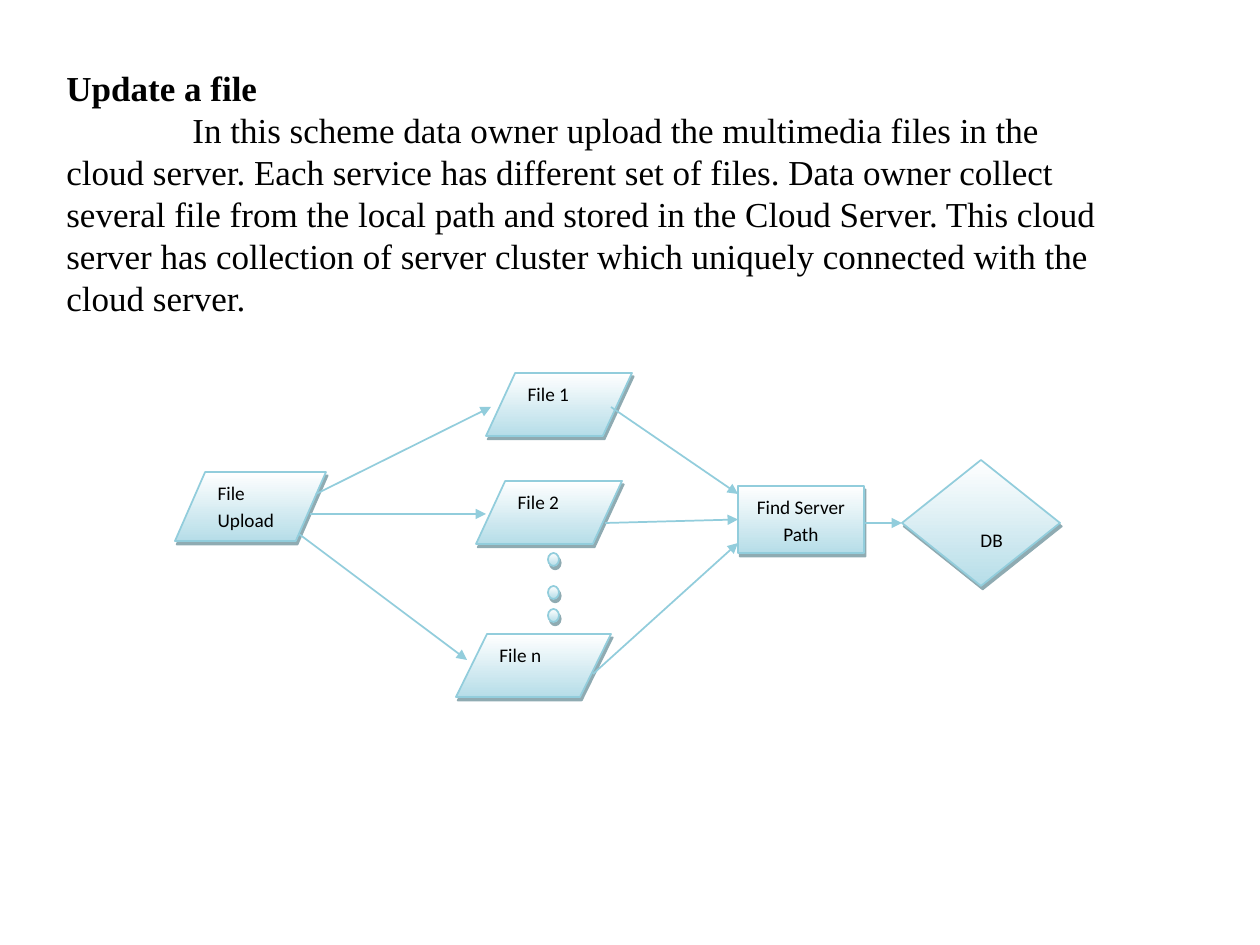
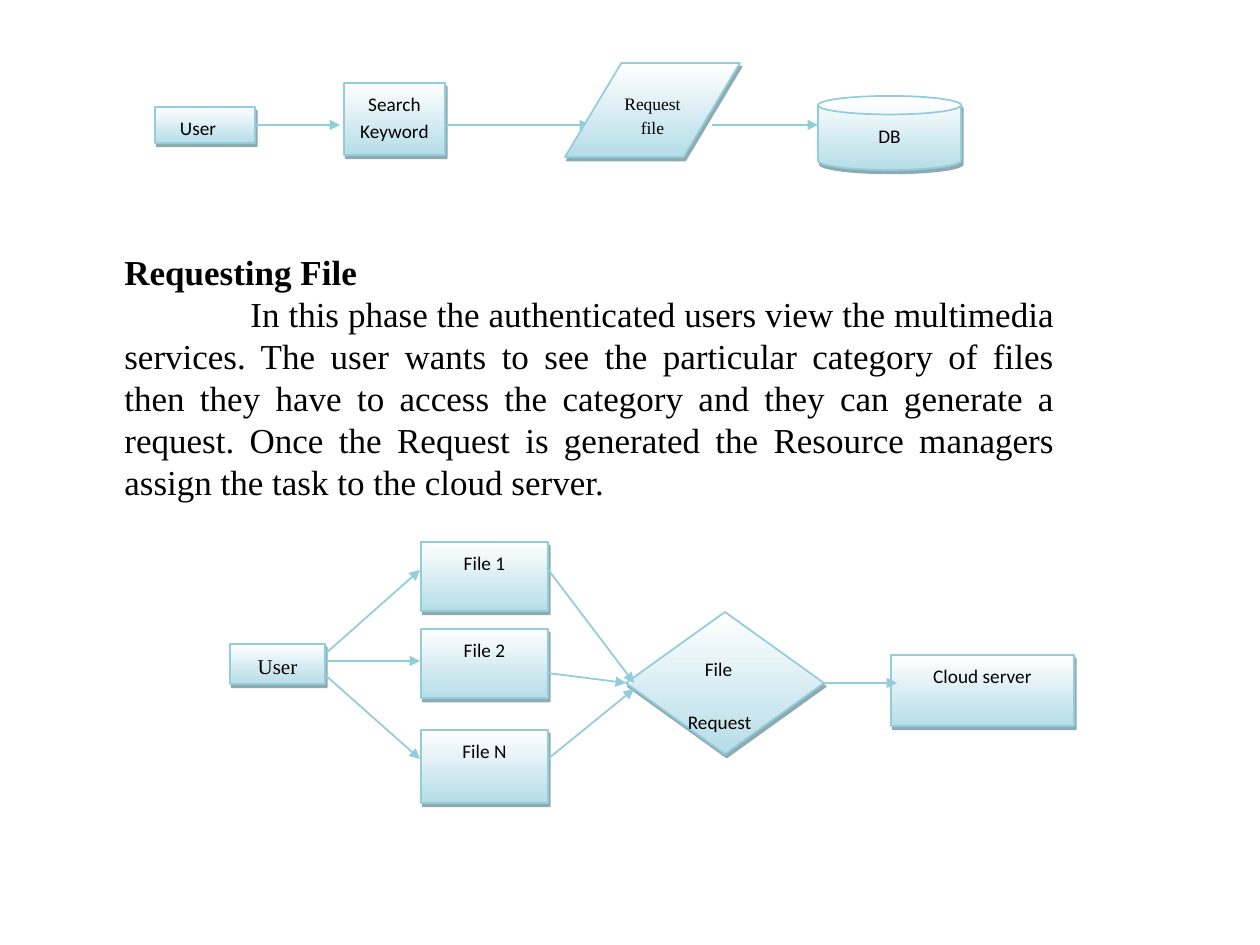
from dataclasses import dataclass
from typing import Any

from lxml.etree import SubElement
from pptx import Presentation
from pptx.dml.color import RGBColor
from pptx.enum.shapes import MSO_CONNECTOR, MSO_SHAPE
from pptx.enum.text import MSO_ANCHOR, PP_ALIGN
from pptx.oxml.ns import qn
from pptx.util import Emu, Pt

PX = 914400 / 126
COLORS = {
    "text": "000000",
    "line": "92CDDC",
    "fill_top": "FFFFFF",
    "fill_bottom": "B6DDE8",
    "shadow": "205867",
}
SERIF = "Times New Roman"
SANS = "Calibri"


def px(n):
    return Emu(round(n * PX))


def color(name):
    return RGBColor.from_string(COLORS[name])


def add_run(p, text, size, font, bold=False):
    r = p.add_run()
    r.text = text
    r.font.size = Pt(size)
    r.font.name = font
    r.font.bold = bold
    r.font.color.rgb = color("text")


def style_node(sp):
    fill = sp.fill
    fill.gradient()
    fill.gradient_angle = 270
    for stop, name in zip(fill.gradient_stops, ("fill_top", "fill_bottom")):
        stop.color.rgb = color(name)
    sp.line.color.rgb = color("line")
    sp.line.width = Pt(1)
    sp.shadow.inherit = False
    effects = sp._element.spPr.find(qn("a:effectLst"))
    shadow = SubElement(effects, qn("a:outerShdw"), blurRad="0",
                        dist=str(Pt(2.2)), dir="3780000", algn="ctr",
                        rotWithShape="0")
    clr = SubElement(shadow, qn("a:srgbClr"), val=COLORS["shadow"])
    SubElement(clr, qn("a:alpha"), val="50000")


@dataclass
class Flow:
    slide: Any
    left: int
    top: int

    def node(self, kind, x, y, w, h, lines=(), align=PP_ALIGN.CENTER,
             size=11, font=SANS):
        sp = self.slide.shapes.add_shape(
            kind, px(self.left + x), px(self.top + y), px(w), px(h))
        style_node(sp)
        tf = sp.text_frame
        tf.word_wrap = True
        tf.vertical_anchor = MSO_ANCHOR.TOP
        for i, text in enumerate(lines):
            p = tf.add_paragraph() if i else tf.paragraphs[0]
            p.alignment = align
            p.line_spacing = 1.15
            add_run(p, text, size, font)
        return sp

    def arrow(self, x1, y1, x2, y2, begin=None, end=None):
        c = self.slide.shapes.add_connector(
            MSO_CONNECTOR.STRAIGHT, px(self.left + x1), px(self.top + y1),
            px(self.left + x2), px(self.top + y2))
        if begin is not None:
            c.begin_connect(begin, 3)
        if end is not None:
            c.end_connect(end, 1)
        c.line.color.rgb = color("line")
        c.line.width = Pt(1)
        SubElement(c.line._get_or_add_ln(), qn("a:tailEnd"), type="triangle")
        SubElement(c._element.spPr, qn("a:effectLst"))


def add_topic(slide, box, heading, body, align, anchor):
    tb = slide.shapes.add_textbox(*map(px, box))
    tf = tb.text_frame
    tf.word_wrap = True
    tf.vertical_anchor = anchor
    add_run(tf.paragraphs[0], heading, 20, SERIF, bold=True)
    p = tf.add_paragraph()
    p.alignment = align
    p._p.get_or_add_pPr().set("indent", str(px(126)))
    add_run(p, body, 20, SERIF)


def add_upload_flow(slide, left, top):
    flow = Flow(slide, left, top)
    for x, y, w, name in ((311, 0, 146, "File 1"), (301, 108, 146, "File 2"),
                          (281, 261, 155, "File n")):
        flow.node(MSO_SHAPE.FLOWCHART_DATA, x, y, w, 63, [name], PP_ALIGN.LEFT)
    for y in (180, 213, 236):
        flow.node(MSO_SHAPE.FLOWCHART_CONNECTOR, 373, y, 11, 13)
    server = flow.node(MSO_SHAPE.RECTANGLE, 563, 113, 126, 67,
                       ["Find Server Path"])
    flow.node(MSO_SHAPE.FLOWCHART_DATA, 0, 99, 151, 69, ["File Upload"],
              PP_ALIGN.LEFT)
    db = flow.node(MSO_SHAPE.DIAMOND, 727, 87, 158, 126, ["DB"],
                   PP_ALIGN.LEFT)
    db.text_frame.margin_left = px(39)
    db.text_frame.margin_top = px(33)
    for ends in ((141, 121, 316, 34), (124, 161, 292, 287),
                 (135, 141, 311, 141), (418, 301, 563, 170),
                 (436, 34, 563, 121)):
        flow.arrow(*ends)
    flow.arrow(430, 150, 563, 147, end=server)
    flow.arrow(689, 150, 727, 150, end=db)


def add_search_flow(slide, left, top):
    flow = Flow(slide, left, top)
    user = flow.node(MSO_SHAPE.RECTANGLE, 0, 44, 100, 36, ["User"],
                     PP_ALIGN.LEFT)
    user.text_frame.margin_left = px(25)
    flow.node(MSO_SHAPE.RECTANGLE, 189, 20, 101, 72, ["Search Keyword"])
    flow.node(MSO_SHAPE.CAN, 663, 33, 143, 74, ["DB"])
    flow.arrow(100, 62, 185, 62, begin=user)
    flow.arrow(289, 62, 435, 62)
    flow.arrow(557, 62, 663, 62)
    request = flow.node(MSO_SHAPE.PARALLELOGRAM, 410, 0, 175, 94,
                        ["Request file"], size=10, font=SERIF)
    request.adjustments[0] = 0.6


def add_request_flow(slide, left, top):
    flow = Flow(slide, left, top)
    flow.node(MSO_SHAPE.RECTANGLE, 0, 102, 95, 40, ["User"], size=12,
              font=SERIF)
    for y, h, name in ((0, 69, "File 1"), (87, 69, "File 2"),
                       (188, 73, "File N")):
        flow.node(MSO_SHAPE.RECTANGLE, 191, y, 127, h, [name])
    flow.node(MSO_SHAPE.RECTANGLE, 661, 113, 183, 71, ["Cloud server"])
    request = flow.node(MSO_SHAPE.DIAMOND, 396, 70, 198, 142,
                        ["File", "Request"], PP_ALIGN.LEFT)
    first = request.text_frame.paragraphs[0]
    first.space_after = Pt(15)
    first._p.get_or_add_pPr().set("marL", str(px(17)))
    for ends in ((317, 26, 404, 141), (318, 217, 404, 147),
                 (94, 113, 190, 28), (96, 119, 190, 119),
                 (94, 132, 190, 217)):
        flow.arrow(*ends)
    flow.arrow(317, 131, 396, 141, end=request)
    flow.arrow(594, 141, 667, 141, begin=request)


def update_slide(slide):
    add_topic(
        slide, (54, 59, 1071, 267), "Update a file",
        "In this scheme data owner upload the multimedia files in the cloud "
        "server. Each service has different set of files. Data owner collect "
        "several file from the local path and stored in the Cloud Server. "
        "This cloud server has collection of server cluster which uniquely "
        "connected with the cloud server.",
        PP_ALIGN.LEFT, MSO_ANCHOR.MIDDLE)
    add_upload_flow(slide, 175, 373)


def request_slide(slide):
    add_topic(
        slide, (112, 244, 955, 267), "Requesting File",
        "In this phase the authenticated users view the multimedia services. "
        "The user wants to see the particular category of files then they "
        "have to access the category and they can generate a request. Once "
        "the Request is generated the Resource managers assign the task to "
        "the cloud server.",
        PP_ALIGN.JUSTIFY, MSO_ANCHOR.TOP)
    add_search_flow(slide, 155, 63)
    add_request_flow(slide, 230, 542)


def main():
    prs = Presentation()
    prs.slide_width = px(1260)
    prs.slide_height = px(945)
    for build in (update_slide, request_slide):
        build(prs.slides.add_slide(prs.slide_layouts[6]))
    prs.save("out.pptx")


if __name__ == "__main__":
    main()
